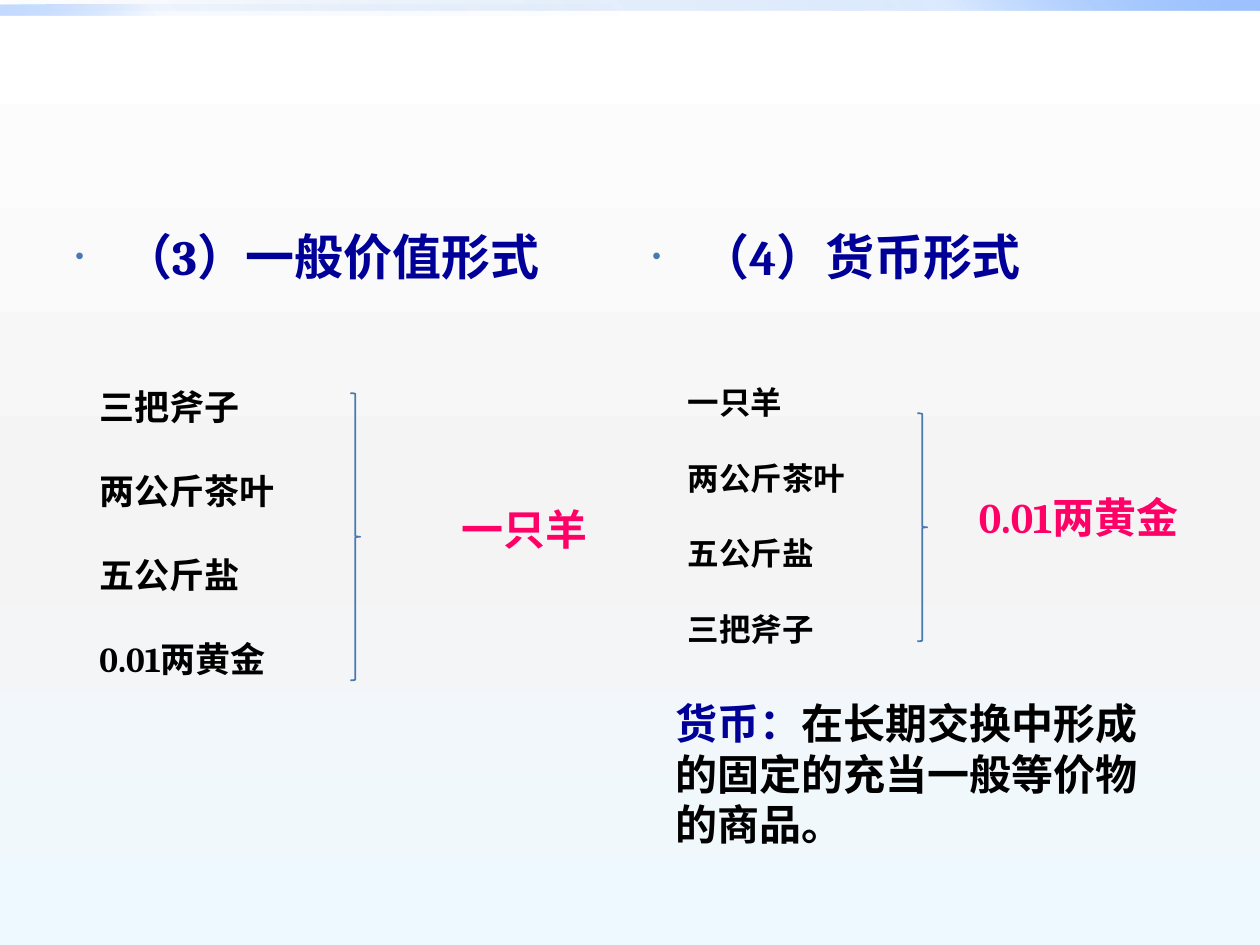
import collections
import pptx
import pptx.util
import pptx.dml.color
import pptx.enum.shapes
import pptx.enum.text
import pptx.oxml
import pptx.oxml.ns

COLORS = {
    "heading": "000099", "body": "000000", "result": "FF0066", "accent": "477AB1",
    "white": "FFFFFF", "grey": "F4F4F4", "ice": "EEF9FF",
    "deep": "0058B7", "sky": "4F95FF", "pale": "9EC2FF",
}
FONT = "Cambria"
WIDTH, HEIGHT = pptx.util.Inches(10), pptx.util.Inches(7.5)
COLUMNS, ROWS = 100, 75
LINE_HEIGHT = 1.2
ALIGN = pptx.enum.text.PP_ALIGN
SHAPES = pptx.enum.shapes.MSO_SHAPE

Box = collections.namedtuple("Box", "left top width height")


def rgb(name):
    return pptx.dml.color.RGBColor.from_string(COLORS[name])


def within(box, left, top, width, height):
    return Box(box.left + left, box.top + top, width, height)


def to_slide(box):
    column, row = WIDTH / COLUMNS, HEIGHT / ROWS
    return (round(box.left * column), round(box.top * row),
            round(box.width * column), round(box.height * row))


def paint_gradient(fill, owner, stops, angle):
    fill.gradient()
    gradient = next(owner.iter(pptx.oxml.ns.qn("a:gradFill")))
    for child in list(gradient):
        gradient.remove(child)
    stop_xml = "".join(
        f'<a:gs pos="{position * 1000}"><a:srgbClr val="{COLORS[color]}">'
        f'<a:alpha val="{opacity * 1000}"/></a:srgbClr></a:gs>'
        for position, color, opacity in stops)
    namespace = pptx.oxml.ns.nsdecls("a")
    gradient.append(pptx.oxml.parse_xml(f"<a:gsLst {namespace}>{stop_xml}</a:gsLst>"))
    gradient.append(pptx.oxml.parse_xml(
        f'<a:lin {namespace} ang="{angle * 60000}" scaled="0"/>'))


def add_text(slide, box, paragraphs, size, align=ALIGN.LEFT):
    frame = slide.shapes.add_textbox(*to_slide(box)).text_frame
    frame.word_wrap = True
    for index, pieces in enumerate(paragraphs):
        paragraph = frame.paragraphs[0] if index == 0 else frame.add_paragraph()
        paragraph.alignment = align
        if index:
            paragraph.space_before = pptx.util.Pt(size * LINE_HEIGHT)
        for words, color in pieces:
            run = paragraph.add_run()
            run.text = words
            run.font.name = FONT
            run.font.size = pptx.util.Pt(size)
            run.font.bold = True
            run.font.color.rgb = rgb(color)
    return frame


def add_heading(slide, box, words):
    frame = add_text(slide, box, [[(words, "heading")]], 28)
    properties = frame.paragraphs[0]._p.get_or_add_pPr()
    indent = pptx.util.Inches(0.38)
    properties.set("marL", str(indent))
    properties.set("indent", str(-indent))
    namespace = pptx.oxml.ns.nsdecls("a")
    for bullet in (
            f'<a:buClr {namespace}><a:srgbClr val="{COLORS["accent"]}"/></a:buClr>',
            f'<a:buSzPct {namespace} val="50000"/>',
            f'<a:buFont {namespace} typeface="Arial"/>',
            f'<a:buChar {namespace} char="•"/>'):
        properties.append(pptx.oxml.parse_xml(bullet))


def add_brace(slide, box):
    brace = slide.shapes.add_shape(SHAPES.RIGHT_BRACE, *to_slide(box))
    brace.shadow.inherit = False
    brace.fill.background()
    brace.line.color.rgb = rgb("accent")
    brace.line.width = pptx.util.Pt(1)


def add_backdrop(slide, box):
    paint_gradient(slide.background.fill, slide._element,
                   [(0, "white", 100), (55, "grey", 100), (100, "ice", 100)], 90)
    bands = [
        (within(box, 0, 0, box.width, 0.8), (0, 20, 100), 315),
        (within(box, 0, 0.4, box.width / 2, 0.8), (0, 5, 60), 135),
    ]
    for place, opacities, angle in bands:
        band = slide.shapes.add_shape(SHAPES.RECTANGLE, *to_slide(place))
        band.shadow.inherit = False
        band.line.fill.background()
        stops = list(zip((0, 75, 100), ("deep", "sky", "pale"), opacities))
        paint_gradient(band.fill, band._element, stops, angle)


def add_value_form(slide, box, heading, goods, goods_size, goods_box, brace_box,
                   result, result_box, result_align):
    add_heading(slide, within(box, 0, 0, box.width, 7), heading)
    add_text(slide, within(box, *goods_box),
             [[(good, "body")] for good in goods], goods_size)
    add_brace(slide, within(box, *brace_box))
    add_text(slide, within(box, *result_box), [[(result, "result")]], 24, result_align)


def add_definition(slide, box, term, meaning):
    add_text(slide, box, [[(term, "heading"), (meaning, "body")]], 24)


def main():
    deck = pptx.Presentation()
    deck.slide_width, deck.slide_height = WIDTH, HEIGHT
    slide = deck.slides.add_slide(deck.slide_layouts[6])
    general = Box(5, 17.5, 44.2, 49.5)
    money = general._replace(left=50.8)

    add_backdrop(slide, Box(0, 0, COLUMNS, ROWS))
    add_value_form(
        slide, general, "（3）一般价值形式",
        ["三把斧子", "两公斤茶叶", "五公斤盐", "0.01两黄金"], 20,
        (1.9, 12.6, 29.8, 27.9), (22.8, 13.7, 0.8, 22.8),
        "一只羊", (25.6, 22, 22.1, 5), ALIGN.CENTER)
    add_value_form(
        slide, money, "（4）货币形式",
        ["一只羊", "两公斤茶叶", "五公斤盐", "三把斧子"], 18,
        (2.8, 12.4, 21.6, 22.2), (22, 15.3, 0.8, 18.1),
        "0.01两黄金", (25.9, 21, 20.3, 5), ALIGN.LEFT)
    add_definition(slide, within(money, 1.8, 37.4, 41.5, 13.1),
                   "货币：", "在长期交换中形成的固定的充当一般等价物的商品。")
    deck.save("out.pptx")


if __name__ == "__main__":
    main()
